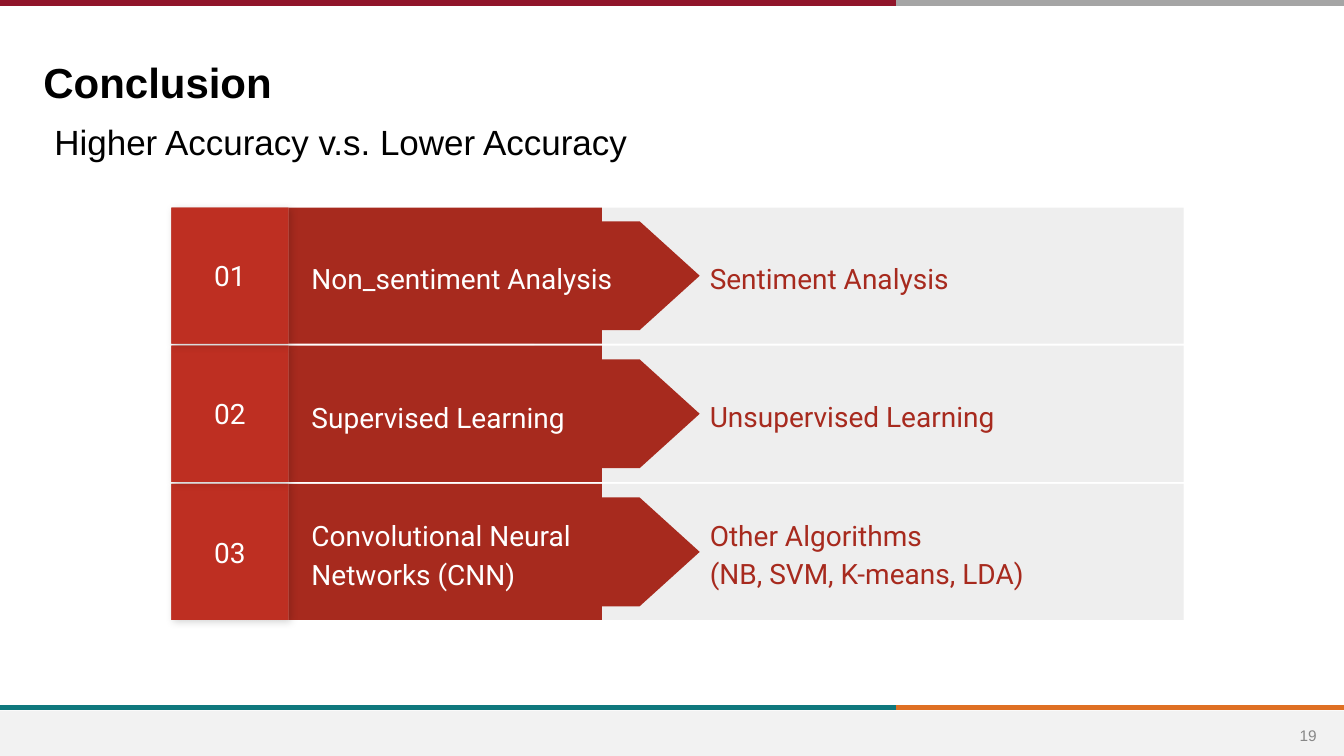
from dataclasses import dataclass

from lxml.etree import SubElement
from pptx import Presentation
from pptx.dml.color import RGBColor
from pptx.enum.shapes import MSO_CONNECTOR, MSO_SHAPE as Kind
from pptx.enum.text import MSO_ANCHOR as Anchor, MSO_AUTO_SIZE as Fit, PP_ALIGN as Align
from pptx.oxml.ns import qn
from pptx.shapes.autoshape import Shape
from pptx.shapes.shapetree import GroupShapes, SlideShapes
from pptx.text.text import TextFrame
from pptx.util import Inches, Pt

Shapes = SlideShapes | GroupShapes
Box = tuple[float, float, float, float]


@dataclass(frozen=True)
class Theme:
    sans: str = "Arial"
    face: str = "Roboto"
    black: str = "000000"
    white: str = "FFFFFF"
    gray: str = "888888"
    pale: str = "EEEEEE"
    foot: str = "F2F2F2"
    dark: str = "A72A1E"
    shade: str = "B02C20"
    red: str = "BE2F22"
    title: int = 30
    lead: int = 25
    text: int = 20
    page: int = 11
    rule: int = 4


@dataclass(frozen=True)
class Rule:
    left: float
    right: float
    y: float
    color: str


@dataclass(frozen=True)
class Row:
    num: str
    high: str
    low: str


T = Theme()
WIDE, TALL, SPLIT = 13.33, 7.5, 8.89
RULES = [
    Rule(SPLIT, WIDE, 7.02, "DF7023"),
    Rule(0, SPLIT, 7.02, "0F787D"),
    Rule(SPLIT, WIDE, 0.03, "A5A5A5"),
    Rule(0, SPLIT, 0.03, "90152A"),
]
ROWS = [
    Row("01", "Non_sentiment Analysis", "Sentiment Analysis"),
    Row("02", "Supervised Learning", "Unsupervised Learning"),
    Row("03", "Convolutional Neural Networks (CNN)",
        "Other Algorithms\n(NB, SVM, K-means, LDA)"),
]
TOP, STEP, HIGH = 2.06, 1.37, 1.35
ARROW_W, ARROW_H, ARROW_X = 1.08, 2.98, 5.45


def place(shape: Shape, box: Box) -> None:
    shape.left, shape.top, shape.width, shape.height = map(Inches, box)


def write(frame: TextFrame, text: str, size: int, color: str, font: str,
          pad: float = 0.13, align: Align = Align.LEFT,
          anchor: Anchor = Anchor.MIDDLE, space: float = 1.0,
          bold: bool = False) -> None:
    frame.text = text
    frame.word_wrap = True
    frame.auto_size = Fit.NONE
    frame.vertical_anchor = anchor
    frame.margin_left = frame.margin_right = Inches(pad)
    frame.margin_top = frame.margin_bottom = Inches(pad)
    for para in frame.paragraphs:
        para.alignment = align
        para.line_spacing = space
        para.space_before = Pt(0)
        for run in para.runs:
            run.font.name = font
            run.font.size = Pt(size)
            run.font.bold = bold
            run.font.color.rgb = RGBColor.from_string(color)


def indent(frame: TextFrame, left: float, first: float) -> None:
    """Set the left margin and first-line indent, with no bullet."""
    for para in frame.paragraphs:
        props = para._p.get_or_add_pPr()
        props.set("marL", str(Inches(left)))
        props.set("indent", str(Inches(first)))
        SubElement(props, qn("a:buNone"))


def block(shapes: Shapes, box: Box, color: str, kind: Kind = Kind.RECTANGLE) -> Shape:
    shape = shapes.add_shape(kind, *map(Inches, box))
    shape.shadow.inherit = False
    shape.fill.solid()
    shape.fill.fore_color.rgb = RGBColor.from_string(color)
    shape.line.fill.background()
    return shape


def label(shapes: Shapes, box: Box) -> TextFrame:
    return shapes.add_textbox(*map(Inches, box)).text_frame


def shadow(shape: Shape) -> None:
    effects = shape._element.spPr.find(qn("a:effectLst"))
    outer = SubElement(effects, qn("a:outerShdw"), blurRad=str(Pt(5.6)),
                       dist=str(Pt(2.2)), dir="2700000", rotWithShape="0")
    color = SubElement(outer, qn("a:srgbClr"), val=T.black)
    SubElement(color, qn("a:alpha"), val="17000")


def draw_rule(shapes: Shapes, rule: Rule) -> None:
    ends = map(Inches, (rule.left, rule.y, rule.right, rule.y))
    line = shapes.add_connector(MSO_CONNECTOR.STRAIGHT, *ends)
    line.line.color.rgb = RGBColor.from_string(rule.color)
    line.line.width = Pt(T.rule)
    SubElement(line._element.spPr, qn("a:effectLst"))


def draw_row(shapes: Shapes, row: Row, top: float) -> None:
    block(shapes, (5.3, top, 6.44, HIGH), T.pale)
    block(shapes, (2.86, top, 3.11, HIGH), T.dark)
    mid = top + HIGH / 2
    arrow = block(shapes, (ARROW_X - ARROW_W / 2, mid - ARROW_H / 2, ARROW_W, ARROW_H),
                  T.dark, Kind.FLOWCHART_OFFPAGE_CONNECTOR)
    arrow.rotation = 270
    high = label(shapes, (2.96, top + 0.16, 3.27, 1.04))
    write(high, row.high, T.text, T.white, T.face, space=1.15)
    tile = (1.7, top, 1.16, HIGH)
    shadow(block(shapes, tile, T.shade))
    num = block(shapes, tile, T.red).text_frame
    write(num, row.num, T.text, T.white, T.face, align=Align.CENTER)
    low = label(shapes, (6.41, top, 5, HIGH))
    write(low, row.low, T.text, T.dark, T.face, space=1.15)
    indent(low, 0, 0.5)


def main() -> None:
    deck = Presentation()
    deck.slide_width, deck.slide_height = Inches(WIDE), Inches(TALL)
    slide = deck.slides.add_slide(deck.slide_layouts[1])
    shapes = slide.shapes

    block(shapes, (0, 7.05, WIDE, 0.45), T.foot)
    for rule in RULES:
        draw_rule(shapes, rule)
    page = label(shapes, (12.63, 7.1, 0.69, 0.4))
    write(page, "19", T.page, T.gray, T.sans, pad=0.05, align=Align.CENTER)

    title, body = shapes.title, slide.placeholders[1]
    place(title, (0.33, 0.46, 10.65, 0.59))
    write(title.text_frame, "Conclusion", T.title, T.black, T.sans,
          pad=0.1, anchor=Anchor.TOP, bold=True)
    place(body, (0.33, 1.1, 10.68, 0.45))
    write(body.text_frame, "Higher Accuracy v.s. Lower Accuracy", T.lead, T.black,
          T.sans, pad=0.1, anchor=Anchor.TOP)
    body.text_frame.paragraphs[0].space_after = Pt(12)
    indent(body.text_frame, 0.31, -0.2)

    for i, row in reversed(list(enumerate(ROWS))):
        draw_row(shapes.add_group_shape().shapes, row, TOP + i * STEP)
    deck.save("out.pptx")


if __name__ == "__main__":
    main()
